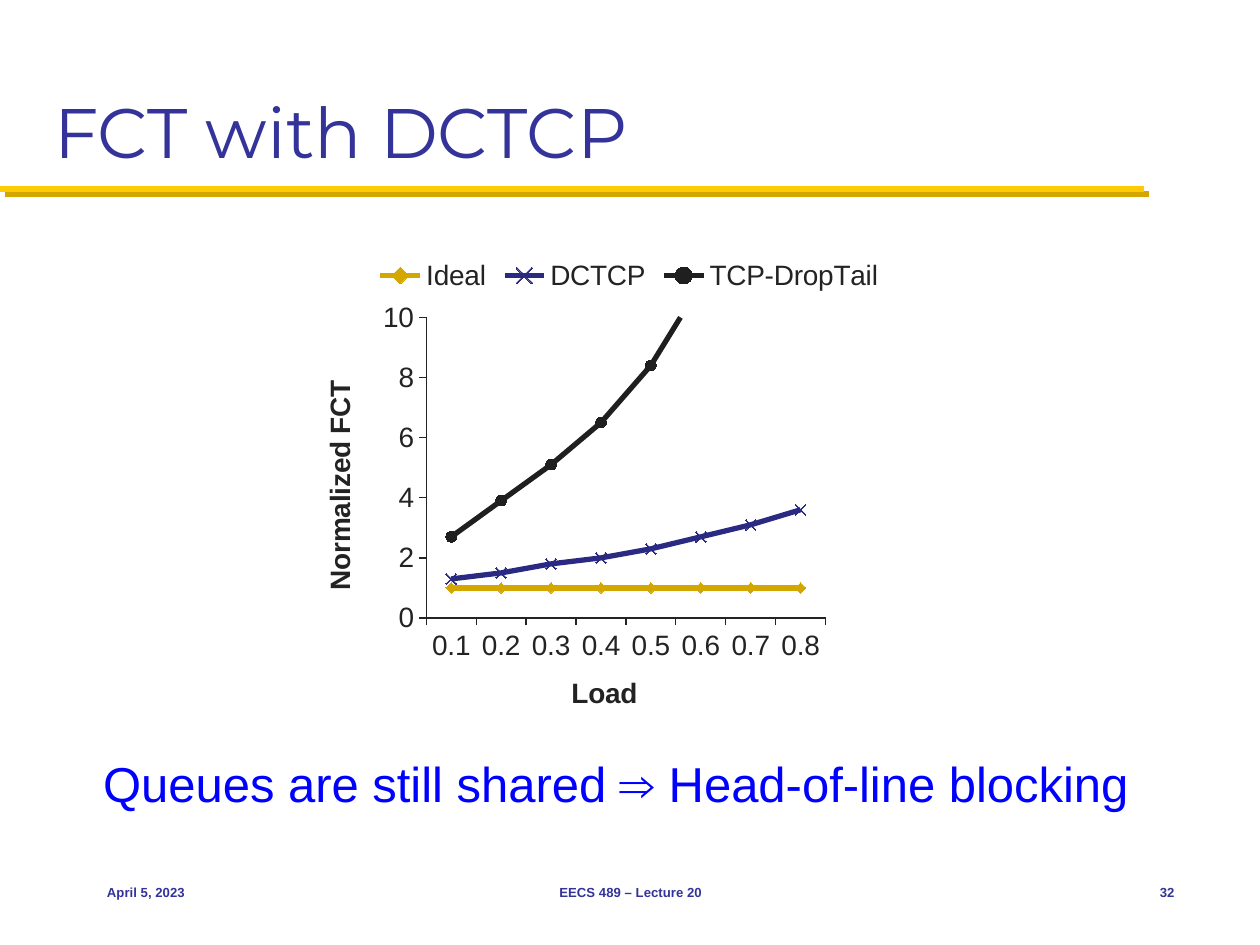
import lxml.etree
import pptx
import pptx.chart.data
import pptx.dml.color
import pptx.enum.chart
import pptx.enum.shapes
import pptx.enum.text
import pptx.oxml
import pptx.oxml.ns
import pptx.util

Inches = pptx.util.Inches
Pt = pptx.util.Pt
qn = pptx.oxml.ns.qn
ALIGN = pptx.enum.text.PP_ALIGN
ANCHOR = pptx.enum.text.MSO_ANCHOR
MARKER = pptx.enum.chart.XL_MARKER_STYLE

NAVY = "333399"
GOLD = "D3A600"
INK = "232323"
LOADS = ["0.1", "0.2", "0.3", "0.4", "0.5", "0.6", "0.7", "0.8"]
CURVES = [
    ("Ideal", [1] * len(LOADS), GOLD, MARKER.DIAMOND),
    ("DCTCP", [1.3, 1.5, 1.8, 2, 2.3, 2.7, 3.1, 3.6], "2A2A82", MARKER.X),
    ("TCP-DropTail", [2.7, 3.9, 5.1, 6.5, 8.4, 11.1, 15.1, 20.4], "1F1F1F", MARKER.CIRCLE),
]


def rgb(value):
    """Turn a hex string into a colour."""
    return pptx.dml.color.RGBColor.from_string(value)


def style_font(font, size, color, name="Arial", bold=False):
    """Set the face, size, colour and weight of a font."""
    font.name = name
    font.size = Pt(size)
    font.bold = bold
    font.color.rgb = rgb(color)


def style_line(line, color, width):
    """Give a line a solid colour and a width in points."""
    line.color.rgb = rgb(color)
    line.width = Pt(width)


def add_title(slide, text):
    """Fill and place the title placeholder."""
    title = slide.shapes.title
    title.left, title.top = Inches(0.33), Inches(0.17)
    title.width, title.height = Inches(9.33), Inches(1.25)
    frame = title.text_frame
    frame.text = text
    frame.auto_size = pptx.enum.text.MSO_AUTO_SIZE.NONE
    frame.vertical_anchor = ANCHOR.BOTTOM
    frame.paragraphs[0].alignment = ALIGN.LEFT
    style_font(frame.paragraphs[0].runs[0].font, 40, NAVY, "Montserrat")


def add_rule(slide):
    """Draw the yellow rule with its hard gold shadow."""
    rule = slide.shapes.add_connector(
        pptx.enum.shapes.MSO_CONNECTOR.STRAIGHT,
        Inches(0), Inches(1.5), Inches(9.08), Inches(1.5))
    style_line(rule.line, "FFCB05", 3.5)
    properties = rule.element.find(qn("p:spPr"))
    effects = lxml.etree.SubElement(properties, qn("a:effectLst"))
    shadow = lxml.etree.SubElement(
        effects, qn("a:outerShdw"), dist=str(Pt(4.2)), dir="2700000",
        algn="ctr", rotWithShape="0")
    lxml.etree.SubElement(shadow, qn("a:srgbClr"), val=GOLD)


def add_text(slide, text, box, size, color, align=ALIGN.LEFT, bold=False,
             anchor=ANCHOR.TOP):
    """Add a one-line text box at (left, top, width, height)."""
    frame = slide.shapes.add_textbox(*map(Inches, box)).text_frame
    frame.word_wrap = True
    frame.vertical_anchor = anchor
    frame.text = text
    frame.paragraphs[0].alignment = align
    style_font(frame.paragraphs[0].runs[0].font, size, color, bold=bold)


def style_axis(axis, title):
    """Format an axis and give it a bold title."""
    axis.has_major_gridlines = False
    axis.major_tick_mark = pptx.enum.chart.XL_TICK_MARK.OUTSIDE
    style_line(axis.format.line, INK, 0.75)
    style_font(axis.tick_labels.font, 16, INK)
    frame = axis.axis_title.text_frame
    frame.text = title
    style_font(frame.paragraphs[0].runs[0].font, 16, INK, bold=True)


def place_plot(chart, x, y, w, h):
    """Fix the inner plot area as fractions of the chart."""
    area = chart.element.find(".//" + qn("c:plotArea"))
    for old in area.findall(qn("c:layout")):
        area.remove(old)
    layout = lxml.etree.Element(qn("c:layout"))
    manual = lxml.etree.SubElement(layout, qn("c:manualLayout"))
    settings = {"layoutTarget": "inner", "xMode": "edge", "yMode": "edge",
                "x": x, "y": y, "w": w, "h": h}
    for key, value in settings.items():
        lxml.etree.SubElement(manual, qn("c:" + key), val=str(value))
    area.insert(0, layout)


def style_curve(curve, color, marker):
    """Format one line of the chart and its markers."""
    curve.smooth = False
    style_line(curve.format.line, color, 3)
    curve.marker.style = marker
    curve.marker.size = 6
    style_line(curve.marker.format.line, color, 0.75)
    if marker == MARKER.X:
        curve.marker.format.fill.background()
    else:
        curve.marker.format.fill.solid()
        curve.marker.format.fill.fore_color.rgb = rgb(color)


def add_fct_chart(slide):
    """Add the line chart of completion time against load."""
    data = pptx.chart.data.CategoryChartData()
    data.categories = LOADS
    for name, values, _, _ in CURVES:
        data.add_series(name, values)
    chart = slide.shapes.add_chart(
        pptx.enum.chart.XL_CHART_TYPE.LINE_MARKERS, Inches(1.12), Inches(1.95),
        Inches(7.75), Inches(3.9), data).chart
    style_font(chart.font, 16, INK)
    chart.has_title = False
    chart.has_legend = True
    chart.legend.position = pptx.enum.chart.XL_LEGEND_POSITION.TOP
    chart.legend.include_in_layout = False
    style_font(chart.legend.font, 16, INK)
    style_axis(chart.category_axis, "Load")
    style_axis(chart.value_axis, "Normalized FCT ")
    chart.value_axis.minimum_scale = 0
    chart.value_axis.maximum_scale = 10
    chart.value_axis.major_unit = 2
    plot = chart.plots[0]
    plot.vary_by_categories = False
    for curve, (_, _, color, marker) in zip(plot.series, CURVES):
        style_curve(curve, color, marker)
    place_plot(chart, 0.292, 0.146, 0.409, 0.612)


def add_footer(slide):
    """Add the date, the lecture name and the page number."""
    parts = [
        ("April 5, 2023", 0.75, 2.08, ALIGN.LEFT),
        ("EECS 489 – Lecture 20", 3.42, 3.17, ALIGN.CENTER),
        ("32", 8.75, 0.67, ALIGN.RIGHT),
    ]
    for text, left, width, align in parts:
        add_text(slide, text, (left, 6.83, width, 0.5), 7.5, NAVY, align,
                 bold=True, anchor=ANCHOR.MIDDLE)


def main():
    """Build and save the slide."""
    deck = pptx.Presentation()
    deck.slide_width, deck.slide_height = Inches(10), Inches(7.5)
    slide = deck.slides.add_slide(deck.slide_layouts.get_by_name("Title Only"))
    add_rule(slide)
    add_title(slide, "FCT with DCTCP")
    add_fct_chart(slide)
    add_text(slide, "Queues are still shared ⇒ Head-of-line blocking",
             (0.72, 5.93, 8.56, 0.57), 28, "0000FF")
    add_footer(slide)
    deck.save("out.pptx")


if __name__ == "__main__":
    main()
